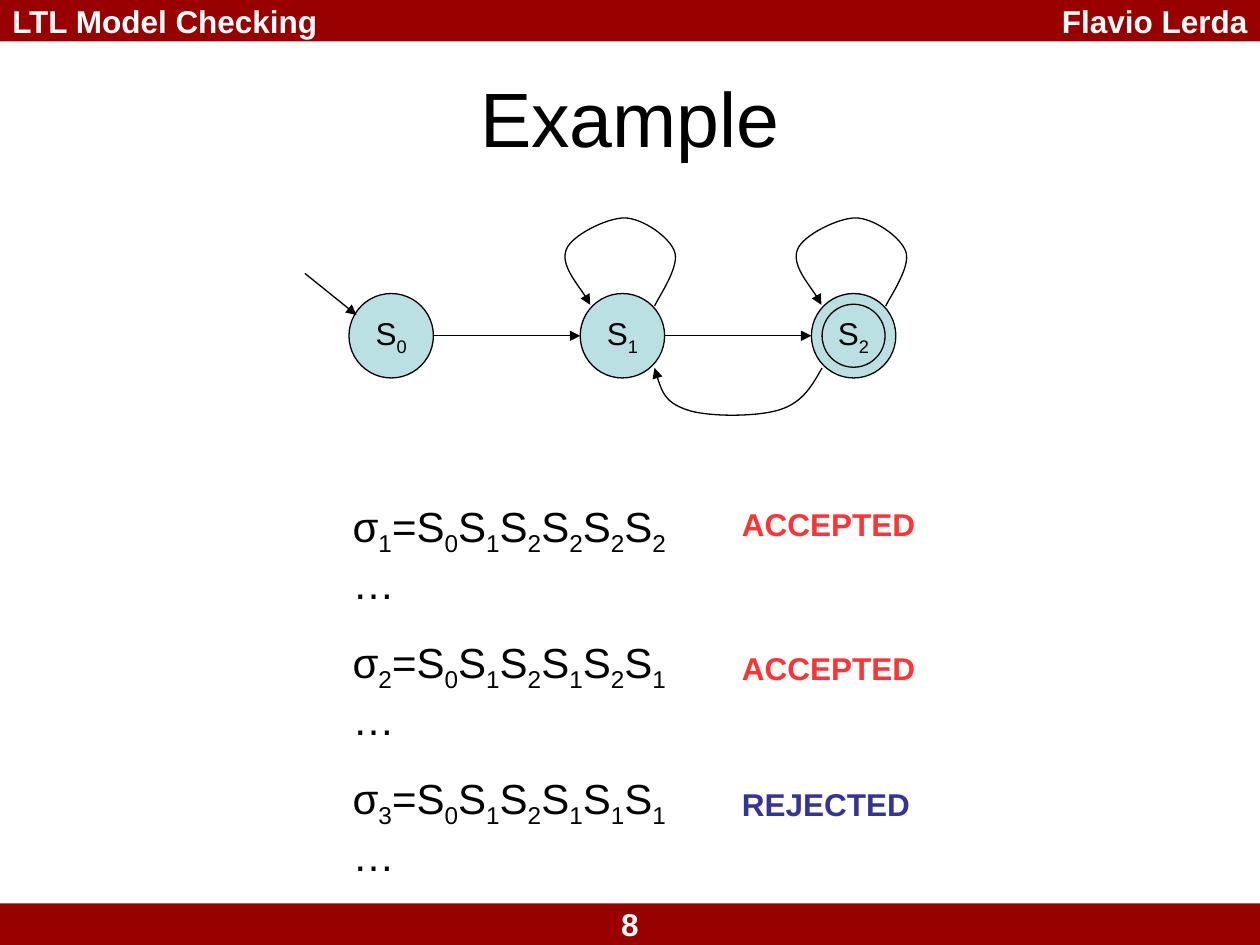
from dataclasses import dataclass

from lxml import etree
from pptx import Presentation
from pptx.dml.color import RGBColor
from pptx.enum.shapes import MSO_CONNECTOR, MSO_SHAPE
from pptx.enum.text import MSO_ANCHOR, PP_ALIGN
from pptx.oxml.ns import qn
from pptx.util import Inches, Pt

LEFT, CENTER, RIGHT = PP_ALIGN.LEFT, PP_ALIGN.CENTER, PP_ALIGN.RIGHT
TOP, MIDDLE = MSO_ANCHOR.TOP, MSO_ANCHOR.MIDDLE
RECT, OVAL = MSO_SHAPE.RECTANGLE, MSO_SHAPE.OVAL
STRAIGHT = MSO_CONNECTOR.STRAIGHT


@dataclass(frozen=True)
class Theme:
    font: str = "Arial"
    bar: str = "990101"
    light: str = "FFFFFF"
    ink: str = "000000"
    state: str = "BBE0E3"
    accepted: str = "FF3333"
    rejected: str = "333399"
    title: int = 44
    trace: int = 24
    label: int = 18
    line: float = 0.75


T = Theme()

# Bezier points in inches, relative to the state's corner
SELF_LOOP = [(0.59, 0.1), (0.62, 0.03), (0.79, -0.21), (0.75, -0.33),
             (0.71, -0.45), (0.49, -0.6), (0.35, -0.6),
             (0.21, -0.6), (-0.07, -0.46), (-0.11, -0.35),
             (-0.16, -0.23), (0.04, 0), (0.08, 0.09)]
BACK_EDGE = [(1.92, 0.59), (1.84, 0.73), (1.77, 0.86), (1.59, 0.92),
             (1.41, 0.98), (1, 0.98), (0.84, 0.92),
             (0.67, 0.86), (0.63, 0.73), (0.59, 0.59)]

TRACES = [("σ_1=S_0S_1S_2S_2S_2S_2…", "ACCEPTED", T.accepted, 3.92, 3.96),
          ("σ_2=S_0S_1S_2S_1S_2S_1…", "ACCEPTED", T.accepted, 5, 5.1),
          ("σ_3=S_0S_1S_2S_1S_1S_1…", "REJECTED", T.rejected, 6.08, 6.18)]


def rgb(value):
    return RGBColor.from_string(value)


def write(sp, text, size, color, align=LEFT, anchor=MIDDLE, bold=False, wrap=False):
    """Write one paragraph; the character after each underscore is a subscript."""
    tf = sp.text_frame
    tf.word_wrap = wrap
    tf.vertical_anchor = anchor
    p = tf.paragraphs[0]
    p.alignment = align
    first, *rest = text.split("_")
    parts = [(first, False)]
    for part in rest:
        parts += [(part[0], True), (part[1:], False)]
    for part, subscript in parts:
        if not part:
            continue
        r = p.add_run()
        r.text = part
        r.font.name = T.font
        r.font.size = Pt(size)
        r.font.bold = bold
        r.font.color.rgb = rgb(color)
        if subscript:
            r.font._element.set("baseline", "-25000")


def add_filled(s, kind, x, y, w, h, fill, line=None):
    sp = s.shapes.add_shape(kind, Inches(x), Inches(y), Inches(w), Inches(h))
    sp.shadow.inherit = False
    sp.fill.solid()
    sp.fill.fore_color.rgb = rgb(fill)
    if line:
        sp.line.color.rgb = rgb(line)
        sp.line.width = Pt(T.line)
    else:
        sp.line.fill.background()
    return sp


def add_label(s, x, y, w, h, text, size, color, **style):
    sp = s.shapes.add_textbox(Inches(x), Inches(y), Inches(w), Inches(h))
    write(sp, text, size, color, wrap=True, **style)


def style_arrow(sp):
    sp.line.color.rgb = rgb(T.ink)
    sp.line.width = Pt(T.line)
    ln = sp.line._get_or_add_ln()
    etree.SubElement(ln, qn("a:tailEnd"), type="triangle")


def add_arrow(s, x1, y1, x2, y2):
    cx = s.shapes.add_connector(STRAIGHT, Inches(x1), Inches(y1), Inches(x2), Inches(y2))
    style_arrow(cx)
    etree.SubElement(cx._element.spPr, qn("a:effectLst"))


def add_curve(s, x, y, points):
    start, *rest = [(Inches(x + dx), Inches(y + dy)) for dx, dy in points]
    builder = s.shapes.build_freeform(*start)
    builder.add_line_segments(rest, close=False)
    sp = builder.convert_to_shape()
    sp.shadow.inherit = False
    sp.fill.background()
    style_arrow(sp)
    # Turn each three line segments into one Bezier segment
    segments = list(sp._element.iter(qn("a:lnTo")))
    outline = segments[0].getparent()
    for i in range(0, len(segments), 3):
        curve = etree.SubElement(outline, qn("a:cubicBezTo"))
        for segment in segments[i:i + 3]:
            curve.append(segment[0])
            outline.remove(segment)


def add_bars(s, w, h, bar_h):
    header = add_filled(s, RECT, 0, 0, w, bar_h, T.bar)
    write(header, "Flavio Lerda", T.label, T.light, RIGHT, bold=True)
    footer = add_filled(s, RECT, 0, h - bar_h, w, bar_h, T.bar)
    write(footer, "8", T.label, T.light, CENTER, bold=True)
    add_label(s, 0, 0, w, bar_h, "LTL Model Checking", T.label, T.light, bold=True)


def add_title(s, x, y, w, h):
    title = s.shapes.title
    title.left, title.top, title.width, title.height = map(Inches, (x, y, w, h))
    write(title, "Example", T.title, T.ink, CENTER, wrap=True)


def add_automaton(s, x, y, size=0.67, step=1.835, inset=0.085):
    """Three states in a row, the first with its corner at x, y."""
    mid = y + size / 2
    lefts = [x + i * step for i in range(3)]
    states = [add_filled(s, OVAL, left, y, size, size, T.state, T.ink) for left in lefts]
    # The accepting state has an inner ring that carries its name
    inner = size - 2 * inset
    states[2] = add_filled(s, OVAL, lefts[2] + inset, y + inset, inner, inner,
                           T.state, T.ink)
    for i, state in enumerate(states):
        write(state, f"S_{i}", T.label, T.ink, CENTER)
    # Transitions
    add_arrow(s, x - 0.35, y - 0.16, x + 0.06, y + 0.17)
    for left, right in zip(lefts, lefts[1:]):
        add_arrow(s, left + size, mid, right, mid)
        add_curve(s, right, y, SELF_LOOP)
    add_curve(s, lefts[1], y, BACK_EDGE)


def add_traces(s, x, verdict_x):
    for trace, verdict, color, trace_y, verdict_y in TRACES:
        add_label(s, x, trace_y, 3, 0.56, trace, T.trace, T.ink, anchor=TOP)
        add_label(s, verdict_x, verdict_y, 1.7, 0.4, verdict, T.label, color,
                  anchor=TOP, bold=True)


def main():
    prs = Presentation()
    prs.slide_width, prs.slide_height = Inches(10), Inches(7.5)
    s = prs.slides.add_slide(prs.slide_layouts[5])
    add_bars(s, 10, 7.5, 0.33)
    add_title(s, 0.5, 0.3, 9, 1.25)
    add_automaton(s, 2.77, 2.33)
    add_traces(s, 2.7, 5.79)
    prs.save("out.pptx")


if __name__ == "__main__":
    main()
